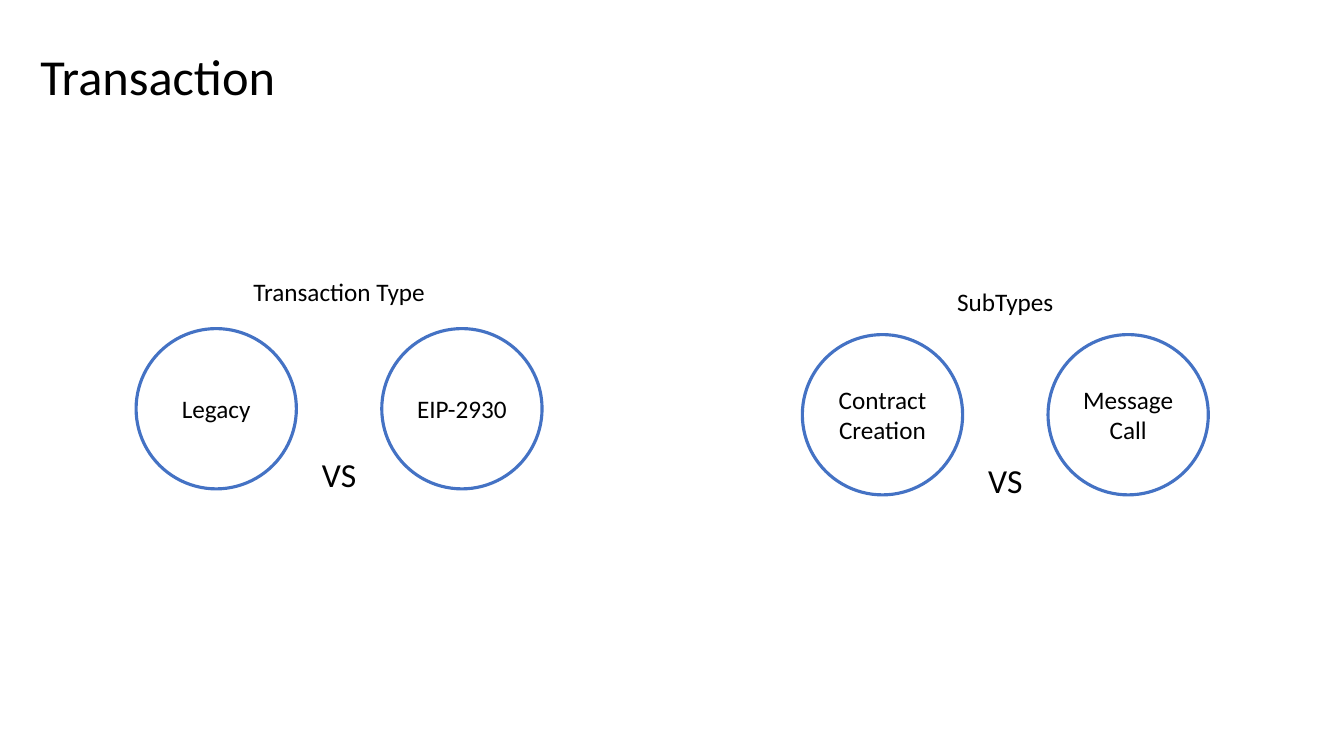
from dataclasses import dataclass

from pptx import Presentation
from pptx.dml.color import RGBColor
from pptx.enum.shapes import MSO_SHAPE
from pptx.enum.text import MSO_ANCHOR, MSO_AUTO_SIZE, PP_ALIGN
from pptx.slide import Slide
from pptx.text.text import TextFrame
from pptx.util import Pt

ELLIPSE = MSO_SHAPE.OVAL
TOP, MIDDLE = MSO_ANCHOR.TOP, MSO_ANCHOR.MIDDLE
LEFT, CENTER = PP_ALIGN.LEFT, PP_ALIGN.CENTER
FIT_SHAPE, NO_FIT = MSO_AUTO_SIZE.SHAPE_TO_FIT_TEXT, MSO_AUTO_SIZE.NONE

COLORS = {"text": "000000", "circle_fill": "FFFFFF", "circle_line": "4472C4"}
FONT = "Calibri"
DIAMETER = 114.5
CIRCLE_STEP = 175.5
VERSUS_DROP = 85.7


@dataclass
class Comparison:
    heading: str
    heading_top: float
    heading_width: float
    left: float
    top: float
    options: tuple[str, str]

    @property
    def center(self) -> float:
        return self.left + (CIRCLE_STEP + DIAMETER) / 2


COMPARISONS = [
    Comparison("Transaction Type", 193.7, 138.2, 97.2, 234.7, ("Legacy", "EIP-2930")),
    Comparison("SubTypes", 200.9, 84.2, 573.1, 239,
               ("Contract\nCreation", "Message\nCall")),
]


def color(name: str) -> RGBColor:
    return RGBColor.from_string(COLORS[name])


def write_text(text_frame: TextFrame, text: str, size: float,
               alignment: PP_ALIGN = CENTER) -> None:
    text_frame.text = text
    for paragraph in text_frame.paragraphs:
        paragraph.alignment = alignment
        for run in paragraph.runs:
            run.font.name = FONT
            run.font.size = Pt(size)
            run.font.color.rgb = color("text")


def add_label(slide: Slide, text: str, center: float, top: float,
              width: float, height: float, size: float) -> None:
    label = slide.shapes.add_textbox(
        Pt(center - width / 2), Pt(top), Pt(width), Pt(height))
    write_text(label.text_frame, text, size)
    label.text_frame.word_wrap = False
    label.text_frame.auto_size = FIT_SHAPE


def add_circle(slide: Slide, text: str, left: float, top: float) -> None:
    circle = slide.shapes.add_shape(
        ELLIPSE, Pt(left), Pt(top), Pt(DIAMETER), Pt(DIAMETER))
    circle.shadow.inherit = False
    circle.fill.solid()
    circle.fill.fore_color.rgb = color("circle_fill")
    circle.line.color.rgb = color("circle_line")
    circle.line.width = Pt(2.25)
    circle.text_frame.vertical_anchor = MIDDLE
    circle.text_frame.word_wrap = True
    write_text(circle.text_frame, text, 18)


def add_comparison(slide: Slide, comparison: Comparison) -> None:
    for index, option in enumerate(comparison.options):
        add_circle(slide, option, comparison.left + index * CIRCLE_STEP, comparison.top)
    add_label(slide, "VS", comparison.center, comparison.top + VERSUS_DROP,
              39.6, 36, 24)
    add_label(slide, comparison.heading, comparison.center, comparison.heading_top,
              comparison.heading_width, 28.8, 18)


def set_title(slide: Slide, text: str) -> None:
    title = slide.shapes.title
    title.left, title.top = Pt(21.6), Pt(28.8)
    title.width, title.height = Pt(184.3), Pt(51.1)
    write_text(title.text_frame, text, 36, LEFT)
    title.text_frame.word_wrap = False
    title.text_frame.auto_size = NO_FIT
    title.text_frame.vertical_anchor = TOP


def main() -> None:
    presentation = Presentation()
    presentation.slide_width, presentation.slide_height = Pt(960), Pt(540)
    slide = presentation.slides.add_slide(
        presentation.slide_layouts.get_by_name("Title Only"))
    set_title(slide, "Transaction")
    for comparison in COMPARISONS:
        add_comparison(slide, comparison)
    presentation.save("out.pptx")


if __name__ == "__main__":
    main()
